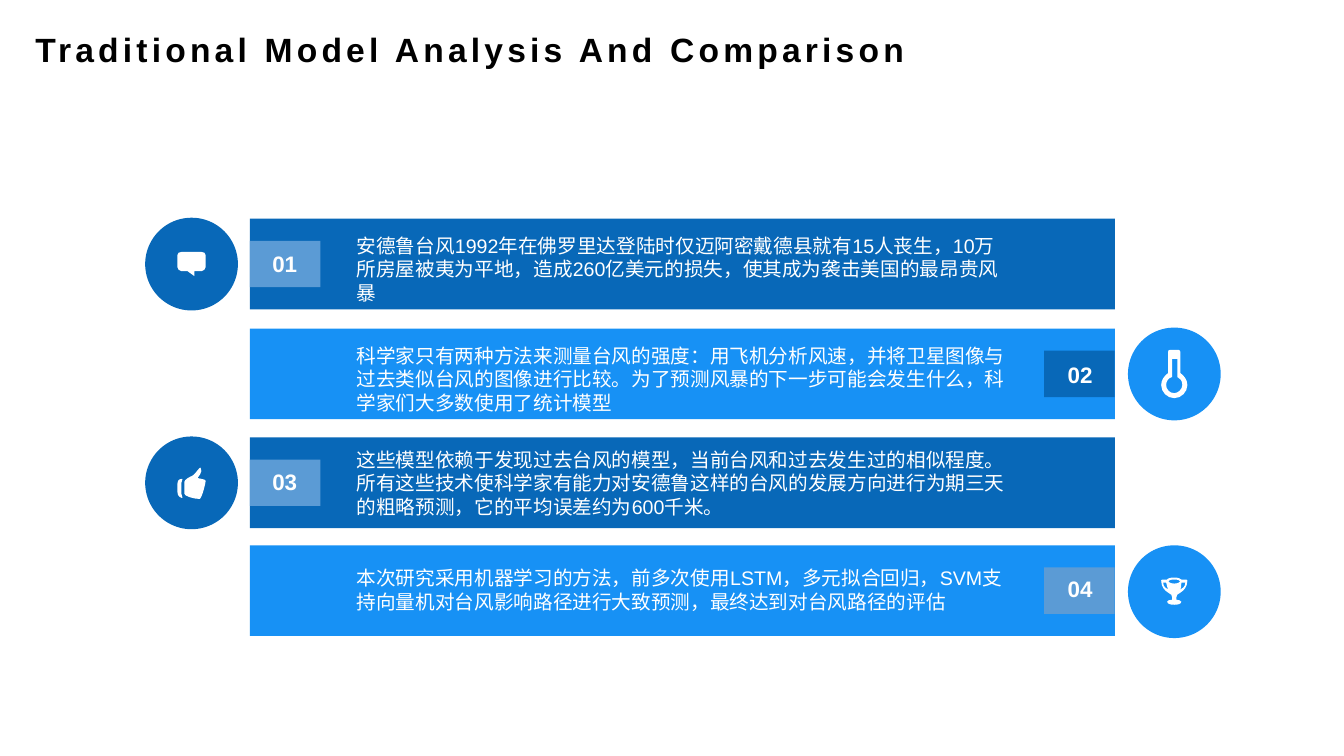
from dataclasses import dataclass

from pptx import Presentation
from pptx.dml.color import RGBColor
from pptx.enum.shapes import MSO_SHAPE
from pptx.enum.text import MSO_ANCHOR, MSO_AUTO_SIZE, PP_ALIGN
from pptx.oxml.ns import qn
from pptx.util import Inches, Pt

COLOURS = {"dark": "0868B8", "bright": "1791F5", "pale": "5B9BD5",
           "white": "FFFFFF", "black": "000000"}

# Icon outlines in hundredths of an inch from the disc's top left corner
CHAT = ("M 56 34 L 36 34 C 34 34 32 35 32 37 L 32 49 C 32 51 34 53 36 53 L 42 53 "
        "L 49 58 L 49 53 L 56 53 C 58 53 60 51 60 49 L 60 37 C 60 35 58 34 56 34")
THERMOMETER = (
    "M 46 65 C 41 65 38 61 38 57 C 38 53 40 50 44 49 L 44 31 L 49 31 L 49 49 "
    "C 52 50 54 53 54 57 C 54 61 50 65 46 65 "
    "M 52 45 L 52 24 C 52 23 51 22 50 22 L 42 22 C 40 22 40 23 40 24 L 40 45 "
    "C 36 48 33 52 33 57 C 33 64 39 70 46 70 C 53 70 59 64 59 57 C 59 52 56 48 52 45")
THUMB = (
    "M 37 42 C 36 42 32 42 32 47 L 32 55 C 32 60 36 61 37 61 C 38 61 36 60 36 57 "
    "L 36 46 C 36 43 38 42 37 42 "
    "M 52 41 C 52 41 58 35 55 31 C 54 30 51 36 47 39 C 44 40 39 43 39 45 L 39 57 "
    "C 39 59 48 62 54 62 C 56 62 60 47 60 44 C 60 42 52 42 52 41")
TROPHY = (
    "M 35 37 L 38 37 C 39 40 39 43 40 44 C 38 43 35 41 35 37 "
    "M 46 34 C 50 34 52 35 52 36 C 52 36 50 38 46 38 C 42 38 40 36 40 36 C 40 35 42 34 46 34 "
    "M 52 44 C 53 43 53 40 53 37 L 57 37 C 57 41 54 43 52 44 "
    "M 48 52 C 48 50 49 48 52 47 C 55 45 59 42 59 35 C 59 35 59 34 58 34 L 53 34 "
    "C 52 33 50 32 46 32 C 42 32 39 33 39 34 L 34 34 C 33 34 33 35 33 35 "
    "C 33 42 37 45 40 47 C 43 48 44 50 44 52 L 44 54 C 41 54 39 55 39 56 "
    "C 39 58 42 59 46 59 C 50 59 53 58 53 56 C 53 55 50 54 48 54 C 48 54 48 52 48 52")


@dataclass
class Band:
    number: str
    colour: str
    badge_colour: str
    icon: str
    on_left: bool
    top: float
    disc_top: float
    number_top: float
    text_top: float
    text_height: float
    text: str


BANDS = [
    Band("01", "dark", "pale", CHAT, True, 2.17, 2.16, 2.47, 2.27, 0.81,
         "安德鲁台风1992年在佛罗里达登陆时仅迈阿密戴德县就有15人丧生，10万所房屋被夷为平地，"
         "造成260亿美元的损失，使其成为袭击美国的最昂贵风暴"),
    Band("02", "bright", "dark", THERMOMETER, False, 3.26, 3.25, 3.57, 3.36, 0.81,
         "科学家只有两种方法来测量台风的强度：用飞机分析风速，并将卫星图像与过去类似台风的图像进行比较。"
         "为了预测风暴的下一步可能会发生什么，科学家们大多数使用了统计模型"),
    Band("03", "dark", "pale", THUMB, True, 4.34, 4.33, 4.63, 4.39, 0.81,
         "这些模型依赖于发现过去台风的模型，当前台风和过去发生过的相似程度。"
         "所有这些技术使科学家有能力对安德鲁这样的台风的发展方向进行为期三天的粗略预测，"
         "它的平均误差约为600千米。"),
    Band("04", "bright", "pale", TROPHY, False, 5.41, 5.41, 5.69, 5.57, 0.57,
         "本次研究采用机器学习的方法，前多次使用LSTM，多元拟合回归，SVM支持向量机对台风影响路径进行大致预测，"
         "最终达到对台风路径的评估"),
]
BAND_LEFT, BAND_WIDTH, BAND_HEIGHT = 2.48, 8.58, 0.9
BADGE_WIDTH, BADGE_HEIGHT, DISC = 0.7, 0.46, 0.92


def colour_of(name: str) -> RGBColor:
    return RGBColor.from_string(COLOURS[name])


def paint(shape, colour: str) -> None:
    shape.fill.solid()
    shape.fill.fore_color.rgb = colour_of(colour)
    shape.line.fill.background()
    shape.shadow.inherit = False


def add_block(page, kind, left: float, top: float, width: float, height: float,
              colour: str) -> None:
    block = page.shapes.add_shape(kind, Inches(left), Inches(top),
                                  Inches(width), Inches(height))
    paint(block, colour)


def write(box, text: str, size: int, colour: str, bold: bool, frame_format: dict,
          paragraph_format: dict):
    """Fill a text box or placeholder with one formatted span."""
    frame = box.text_frame
    for name, value in {"word_wrap": True, **frame_format}.items():
        setattr(frame, name, value)
    para = frame.paragraphs[0]
    for name, value in paragraph_format.items():
        setattr(para, name, value)
    span = para.add_run()
    span.text = text
    for name, value in {"name": "Arial", "size": Pt(size), "bold": bold}.items():
        setattr(span.font, name, value)
    span.font.color.rgb = colour_of(colour)
    return span


def add_label(page, left: float, top: float, width: float, height: float, *content) -> None:
    box = page.shapes.add_textbox(Inches(left), Inches(top), Inches(width), Inches(height))
    write(box, *content)


def bend_segments(shape, commands: list) -> None:
    """Join the three line segments of each C command into one cubic curve."""
    segments = iter(list(shape._element.iter(qn("a:lnTo"))))
    for command in commands:
        segment = next(segments)
        if command == "C":
            segment.tag = qn("a:cubicBezTo")
            for _ in range(2):
                follower = next(segments)
                segment.append(follower[0])
                follower.getparent().remove(follower)


def add_icon(page, outline: str, left: float, top: float) -> None:
    builder = None
    for contour in outline.split("M ")[1:]:
        numbers = [float(token) for token in contour.split() if token not in "LC"]
        points = [(Inches(left + x / 100), Inches(top + y / 100))
                  for x, y in zip(numbers[::2], numbers[1::2])]
        if builder is None:
            builder = page.shapes.build_freeform(*points[0])
        else:
            builder.move_to(*points[0])
        builder.add_line_segments(points[1:], close=True)
    icon = builder.convert_to_shape()
    bend_segments(icon, [token for token in outline.split() if token in "LC"])
    paint(icon, "white")


def add_band(page, band: Band) -> None:
    disc_left = 1.44 if band.on_left else 11.19
    badge_left = BAND_LEFT if band.on_left else BAND_LEFT + BAND_WIDTH - BADGE_WIDTH
    number_left = 2.49 if band.on_left else 10.38
    add_block(page, MSO_SHAPE.OVAL, disc_left, band.disc_top, DISC, DISC, band.colour)
    add_icon(page, band.icon, disc_left, band.disc_top)
    add_block(page, MSO_SHAPE.RECTANGLE, BAND_LEFT, band.top, BAND_WIDTH, BAND_HEIGHT,
              band.colour)
    add_block(page, MSO_SHAPE.RECTANGLE, badge_left, band.top + 0.22, BADGE_WIDTH,
              BADGE_HEIGHT, band.badge_colour)
    add_label(page, number_left, band.number_top, 0.67, 0.33, band.number, 16, "white", True,
              {"vertical_anchor": MSO_ANCHOR.MIDDLE},
              {"alignment": PP_ALIGN.CENTER, "line_spacing": 0.9, "space_before": Pt(10)})
    add_label(page, 3.44, band.text_top, 6.67, band.text_height, band.text, 14, "white", False,
              {"auto_size": MSO_AUTO_SIZE.SHAPE_TO_FIT_TEXT}, {})


def main() -> None:
    deck = Presentation()
    deck.slide_width, deck.slide_height = Inches(40 / 3), Inches(7.5)
    page = deck.slides.add_slide(deck.slide_layouts[5])

    # Title
    title = page.shapes.title
    for name, value in {"left": 0.25, "top": 0.24, "width": 9.37, "height": 0.5}.items():
        setattr(title, name, Inches(value))
    span = write(title, "Traditional Model Analysis And Comparison", 24, "black", True,
                 {"vertical_anchor": MSO_ANCHOR.TOP,
                  "auto_size": MSO_AUTO_SIZE.SHAPE_TO_FIT_TEXT},
                 {"alignment": PP_ALIGN.LEFT})
    span.font._element.set("spc", "300")

    # Numbered bands
    for band in BANDS:
        add_band(page, band)

    deck.save("out.pptx")


if __name__ == "__main__":
    main()
